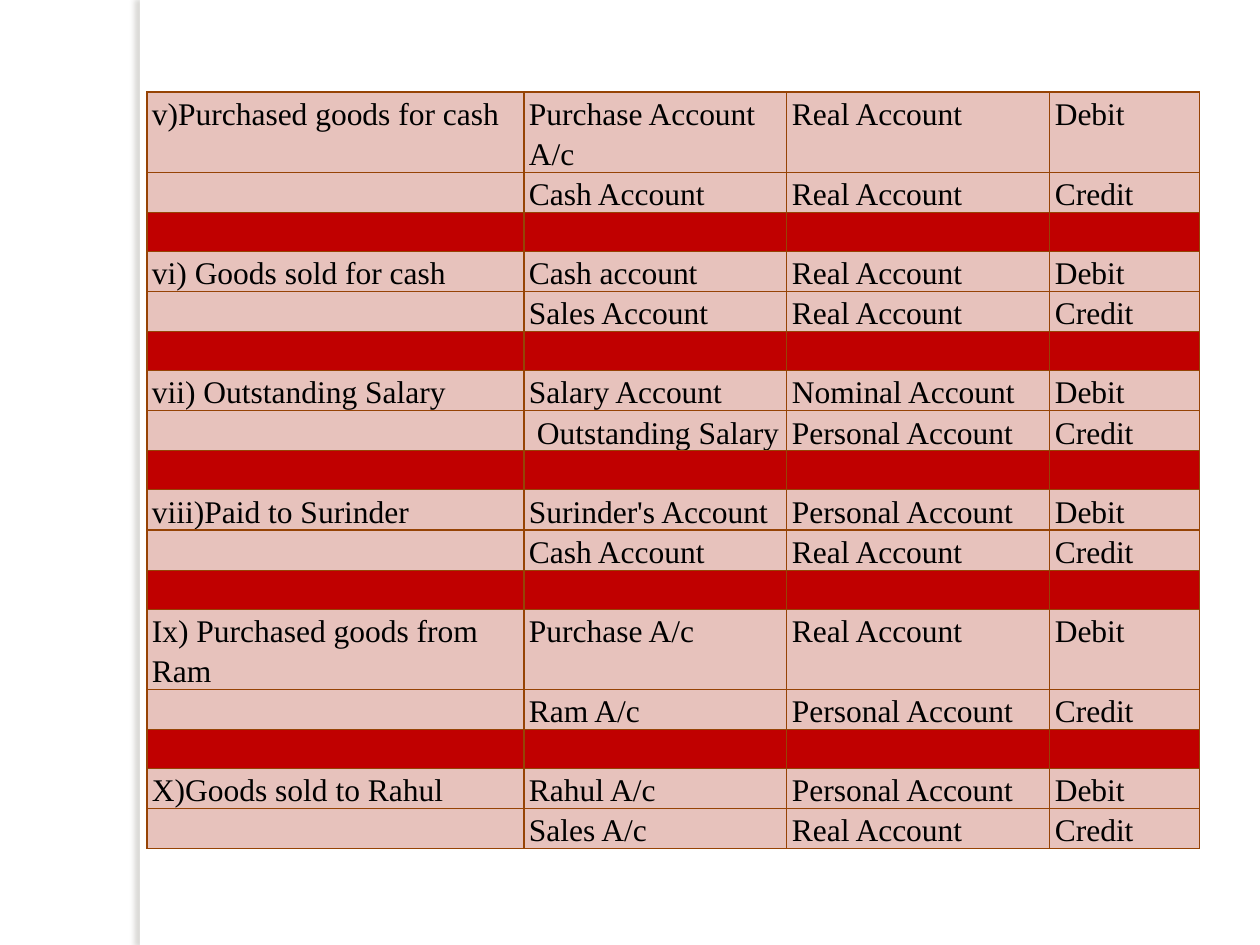
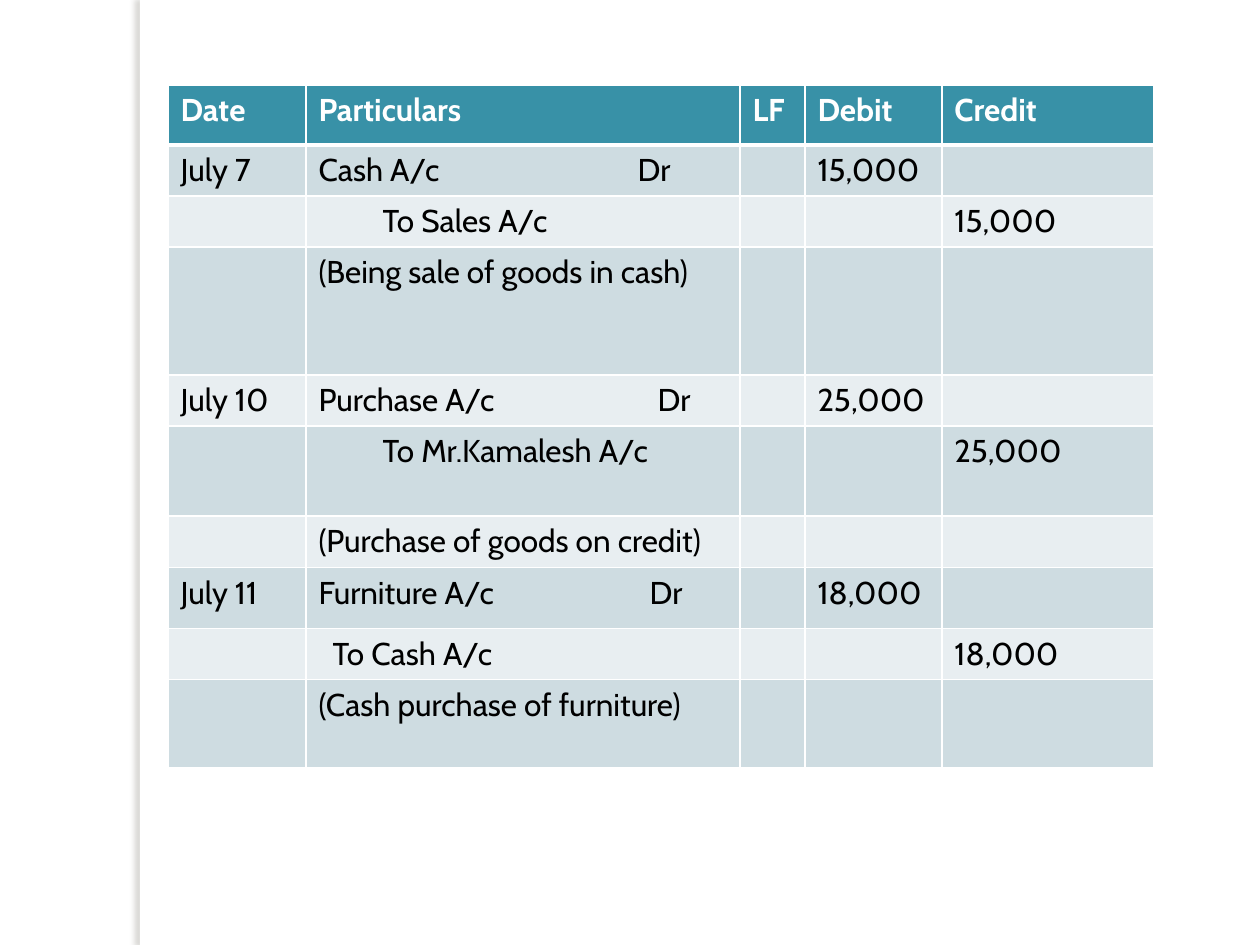
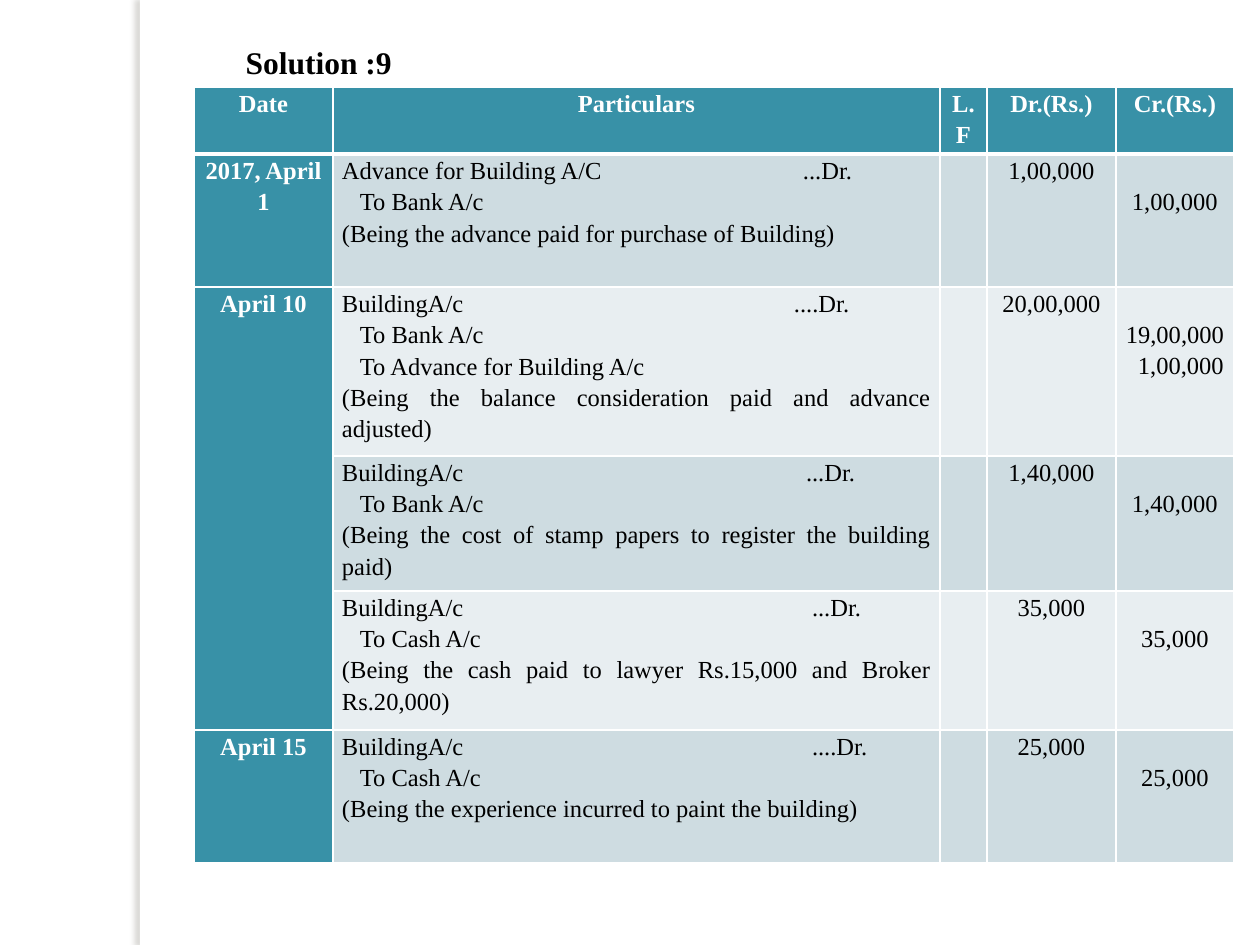
from lxml import etree
from pptx import Presentation
from pptx import util as u
from pptx.dml.color import RGBColor
from pptx.enum import shapes, text
from pptx.oxml.ns import qn

COLORS = {
    "white": "FFFFFF", "black": "000000", "teal": "3891A7",
    "stripe_dark": "CEDCE1", "stripe_light": "E8EEF1",
    "pink": "E7C2BC", "red": "C00000", "brown": "964305", "shade": "736F63",
}
SERIF, SANS = "Times New Roman", "Cabin"
LEFT, CENTER, JUSTIFY = text.PP_ALIGN.LEFT, text.PP_ALIGN.CENTER, text.PP_ALIGN.JUSTIFY
TITLE_ONLY, BLANK = 5, 6


def px(n):
    return u.Emu(round(n * 914400 / 126))


def rgb(name):
    return RGBColor.from_string(COLORS[name])


def sub(parent, tag, **attrs):
    return etree.SubElement(parent, qn(tag), {k: str(v) for k, v in attrs.items()})


# Text: each line is a string or a dict of text, indent and tab
def line(words, indent=0, tab=0):
    return {"words": words, "indent": indent, "tab": tab}


def debit(account, tab, mark="Dr"):
    return line(f"{account}\t{mark}", tab=tab)


def write(tf, lines, font=SERIF, size=18, color="black", bold=False, align=LEFT, spacing=None):
    for i, item in enumerate(lines if isinstance(lines, list) else [lines]):
        item = item if isinstance(item, dict) else line(item)
        p = tf.paragraphs[0] if i == 0 else tf.add_paragraph()
        p.alignment = align
        if spacing:
            p.line_spacing = spacing
        pPr = p._p.get_or_add_pPr()
        if item["indent"]:
            pPr.set("marL", str(px(item["indent"])))
            pPr.set("indent", "0")
        if item["tab"]:
            sub(sub(pPr, "a:tabLst"), "a:tab", pos=px(item["tab"]), algn="l")
        r = p.add_run()
        r.text = item["words"]
        r.font.name, r.font.size, r.font.bold = font, u.Pt(size), bold
        r.font.color.rgb = rgb(color)


# Side band shared by all slides
def add_slide(prs, layout):
    s = prs.slides.add_slide(prs.slide_layouts[layout])
    sp = s.shapes.add_shape(shapes.MSO_SHAPE.RECTANGLE, px(140), 0, px(10), prs.slide_height)
    sp.fill.solid()
    sp.fill.fore_color.rgb = rgb("white")
    sp.line.fill.background()
    shadow = sub(sub(sp._element.spPr, "a:effectLst"), "a:outerShdw", blurRad=u.Pt(3),
                 dist=u.Pt(3), dir=180 * 60000, algn="tl", rotWithShape=0)
    sub(sub(shadow, "a:srgbClr", val=COLORS["shade"]), "a:alpha", val=25000)
    return s


# Tables
def add_table(s, left, top, cols, rows):
    frame = s.shapes.add_table(len(rows), len(cols), px(left), px(top), px(sum(cols)), px(sum(rows)))
    table = frame.table
    table.first_row = table.horz_banding = False
    for col, width in zip(table.columns, cols):
        col.width = px(width)
    for row, height in zip(table.rows, rows):
        row.height = px(height)
    return table


def style_cell(cell, fill, border, width, top=None, bottom=None):
    tcPr = cell._tc.get_or_add_tcPr()
    for side, w in (("L", width), ("R", width), ("T", top or width), ("B", bottom or width)):
        ln = sub(tcPr, f"a:ln{side}", w=u.Pt(w))
        sub(sub(ln, "a:solidFill"), "a:srgbClr", val=COLORS[border])
    cell.fill.solid()
    cell.fill.fore_color.rgb = rgb(fill)


def set_margins(cell, side, top=0):
    cell.margin_left = cell.margin_right = px(side)
    cell.margin_top, cell.margin_bottom = px(top), 0


def style_journal_cell(cell, i, head):
    stripe = "stripe_dark" if i % 2 else "stripe_light"
    style_cell(cell, "teal" if head else stripe, "white", 1,
               top=3 if i == 1 else None, bottom=3 if i == 0 else None)


def account_types(s):
    groups = [
        [("v)Purchased goods for cash", "Purchase Account A/c", "Real Account", "Debit"),
         ("", "Cash Account", "Real Account", "Credit")],
        [("vi) Goods sold for cash", "Cash account", "Real Account", "Debit"),
         ("", "Sales Account", "Real Account", "Credit")],
        [("vii) Outstanding Salary", "Salary Account", "Nominal Account", "Debit"),
         ("", line("Outstanding Salary", indent=8), "Personal Account", "Credit")],
        [("viii)Paid to Surinder", "Surinder's Account", "Personal Account", "Debit"),
         ("", "Cash Account", "Real Account", "Credit")],
        [("Ix) Purchased goods from Ram", "Purchase A/c", "Real Account", "Debit"),
         ("", "Ram A/c", "Personal Account", "Credit")],
        [("X)Goods sold to Rahul", "Rahul A/c", "Personal Account", "Debit"),
         ("", "Sales A/c", "Real Account", "Credit")],
    ]
    separator = ("",) * 4
    rows = [row for group in groups for row in (*group, separator)][:-1]
    two_line_rows = (0, 12)
    heights = [80 if i in two_line_rows else 39 if row == separator else 40
               for i, row in enumerate(rows)]
    table = add_table(s, 147, 92, [377, 263, 263, 150], heights)
    for i, row in enumerate(rows):
        for j, words in enumerate(row):
            cell = table.cell(i, j)
            style_cell(cell, "red" if row == separator else "pink", "brown", 0.75)
            set_margins(cell, 5)
            if words:
                write(cell.text_frame, words, spacing=1.15)


def cash_journal(s):
    rows = [
        ("Date", "Particulars", "LF", "Debit", "Credit"),
        ("July 7", debit("Cash A/c", 319), "", "15,000", ""),
        ("", line("To Sales A/c", indent=64), "", "", "15,000"),
        ("", "(Being sale of goods in cash)", "", "", ""),
        ("July 10", debit("Purchase A/c", 339), "", "25,000", ""),
        ("", line("To Mr.Kamalesh A/c", indent=64), "", "", "25,000"),
        ("", "(Purchase of goods on credit)", "", "", ""),
        ("July 11", debit("Furniture A/c", 331), "", "18,000", ""),
        ("", line("To Cash A/c", indent=14), "", "", "18,000"),
        ("", "(Cash purchase of furniture)", "", "", ""),
    ]
    heights = [60, 51, 51, 128, 51, 90, 51, 61, 51, 88]
    table = add_table(s, 168, 85, [138, 434, 65, 137, 212], heights)
    for i, row in enumerate(rows):
        for j, words in enumerate(row):
            cell, head = table.cell(i, j), i == 0
            style_journal_cell(cell, i, head)
            if words:
                write(cell.text_frame, words, font=SANS, bold=head,
                      color="white" if head else "black")


def building_journal(s):
    def to(account):
        return line(f"To {account}", indent=18)

    rows = [
        ("Date", "Particulars", "L.F", "Dr.(Rs.)", "Cr.(Rs.)"),
        ("2017, April 1",
         [debit("Advance for Building A/C", 461, "...Dr."), to("Bank A/c"),
          "(Being the advance paid for purchase of Building)"],
         "", "1,00,000", "1,00,000"),
        ("April 10",
         [debit("BuildingA/c", 452, "....Dr."), to("Bank A/c"), to("Advance for Building A/c"),
          "(Being the balance consideration paid and advance adjusted)"],
         "", "20,00,000", ["19,00,000", line("1,00,000", indent=12)]),
        ("",
         [debit("BuildingA/c", 464, "...Dr."), to("Bank A/c"),
          "(Being the cost of stamp papers to register the building paid)"],
         "", "1,40,000", "1,40,000"),
        ("",
         [debit("BuildingA/c", 470, "...Dr."), to("Cash A/c"),
          "(Being the cash paid to lawyer Rs.15,000 and Broker Rs.20,000)"],
         "", "35,000", "35,000"),
        ("April 15",
         [debit("BuildingA/c", 470, "....Dr."), to("Cash A/c"),
          "(Being the experience incurred to paint the building)"],
         "", "25,000", "25,000"),
    ]
    date_col, particulars_col, credit_col, line_height = 0, 1, 4, 31
    table = add_table(s, 194, 87, [139, 607, 47, 129, 118], [67, 133, 169, 135, 139, 133])
    for i, row in enumerate(rows):
        for j, words in enumerate(row):
            cell, head = table.cell(i, j), i == 0 or j == date_col
            style_journal_cell(cell, i, head)
            # Credits stand one line below their debit
            set_margins(cell, 9, top=line_height if i and j == credit_col else 0)
            if words:
                write(cell.text_frame, words, size=14, bold=head, spacing=1.15,
                      color="white" if head else "black",
                      align=JUSTIFY if i and j == particulars_col else CENTER)
    table.cell(2, date_col).merge(table.cell(4, date_col))


def add_title(s, words):
    title = s.shapes.title
    title.left, title.top, title.width, title.height = px(233), px(37), px(208), px(50)
    tf = title.text_frame
    tf.word_wrap = True
    tf.auto_size = text.MSO_AUTO_SIZE.NONE
    tf.vertical_anchor = text.MSO_ANCHOR.TOP
    write(tf, words, bold=True)


def main():
    prs = Presentation()
    prs.slide_width, prs.slide_height = px(1260), px(945)
    account_types(add_slide(prs, BLANK))
    cash_journal(add_slide(prs, BLANK))
    s = add_slide(prs, TITLE_ONLY)
    building_journal(s)
    add_title(s, "Solution :9")
    prs.save("out.pptx")


if __name__ == "__main__":
    main()
